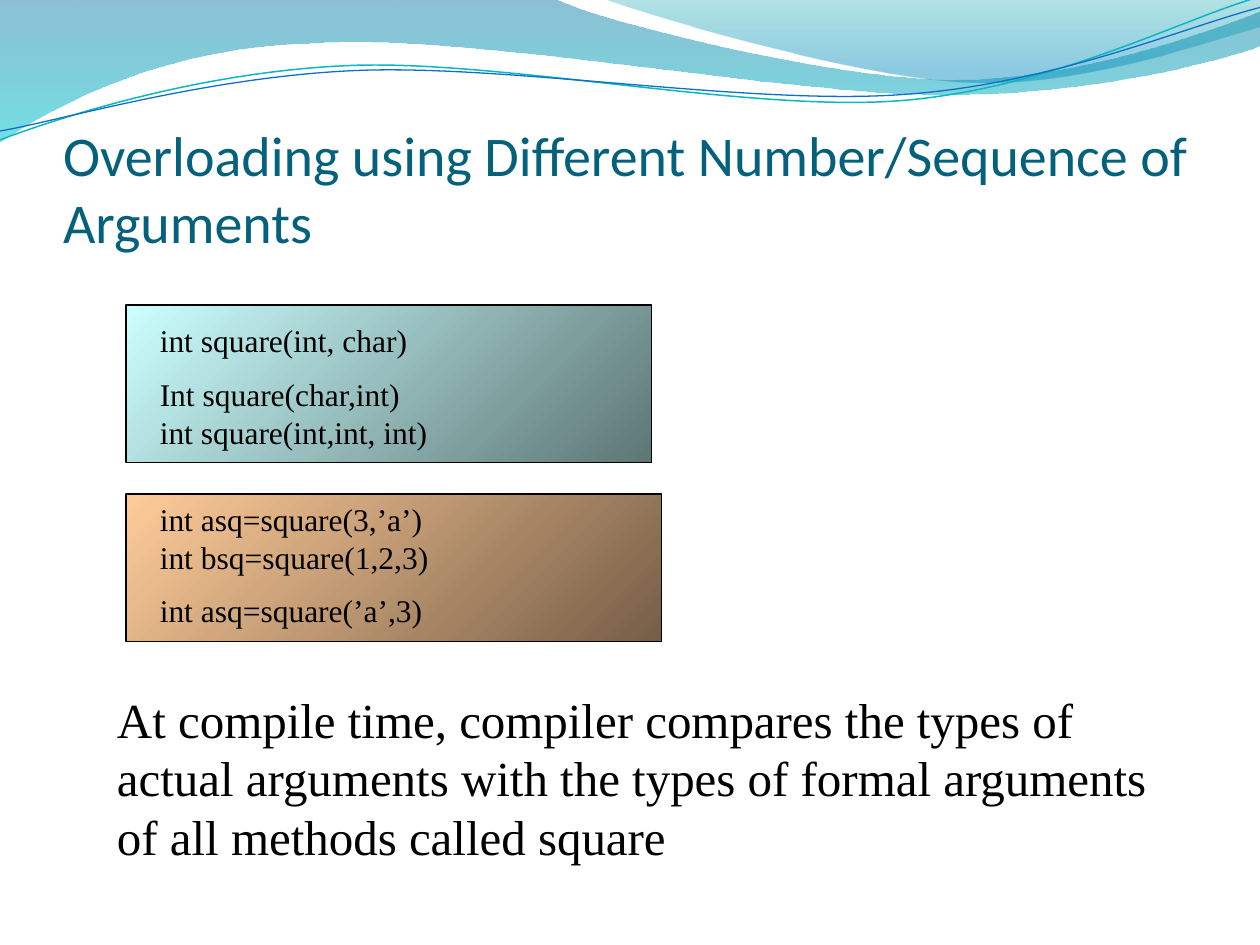
from dataclasses import dataclass
from math import cos, radians, sin

from lxml import etree
from pptx import Presentation
from pptx.dml.color import RGBColor
from pptx.enum.shapes import MSO_SHAPE
from pptx.enum.text import MSO_ANCHOR
from pptx.oxml.ns import qn
from pptx.util import Inches, Pt

RECT = MSO_SHAPE.RECTANGLE
TOP, BOTTOM = MSO_ANCHOR.TOP, MSO_ANCHOR.BOTTOM

BLACK = RGBColor(0x00, 0x00, 0x00)
TITLE_BLUE = RGBColor(0x04, 0x61, 0x7B)
DEEP_BLUE = RGBColor(0x00, 0x74, 0xA1)
CYAN = RGBColor(0x00, 0xC6, 0xCF)
TEAL = RGBColor(0x00, 0xA1, 0xA9)
SKY_BLUE = RGBColor(0x00, 0x8B, 0xBF)
LINE_TEAL = RGBColor(0x0A, 0xB8, 0xBF)
LINE_BLUE = RGBColor(0x0F, 0x6F, 0xC6)
PALE_AQUA = RGBColor(0xCC, 0xFF, 0xFF)
DARK_AQUA = RGBColor(0x5E, 0x76, 0x76)
PEACH = RGBColor(0xFF, 0xCC, 0x99)
BROWN = RGBColor(0x76, 0x5E, 0x47)

LINE_TILT = -2.7


@dataclass
class Stop:
    color: RGBColor
    position: float
    opacity: int = 100


@dataclass
class Band:
    """Steps hold one point for a line, three for a cubic curve."""
    start: tuple
    steps: list
    stops: tuple


@dataclass
class WaveLine:
    """Points are given as they lie on the slide, after the tilt."""
    start: tuple
    steps: list
    center: tuple
    color: RGBColor
    weight: float


@dataclass
class Panel:
    box: tuple
    stops: tuple


@dataclass
class Text:
    box: tuple
    paragraphs: list
    size: int
    font: str = "Times New Roman"
    color: RGBColor = BLACK
    anchor: MSO_ANCHOR = TOP
    insets: tuple = (0.1, 0.05, 0.1, 0.05)


BANDS = [
    Band((0, 0), [
        [(4.4, -0.01)],
        [(4.76, 0.17), (6.64, 0.63), (7.58, 0.63)],
        [(8.53, 0.63), (9.58, 0.26), (10, 0.09)],
        [(10.01, 0.36)],
        [(9.83, 0.44), (8.7, 0.76), (7.46, 0.75)],
        [(6.22, 0.75), (3.82, 0.28), (2.57, 0.34)],
        [(1.29, 0.36), (0.46, 0.83), (-0.01, 1.13)],
        [(0, 0)],
    ], (Stop(DEEP_BLUE, 0, 45), Stop(CYAN, 1, 55))),
    Band((4.79, -0.01), [
        [(5.09, 0.11), (6.82, 0.62), (7.69, 0.65)],
        [(8.56, 0.69), (9.61, 0.32), (10, 0.21)],
        [(10, 0)],
        [(4.79, -0.01)],
    ], (Stop(TEAL, 0, 30), Stop(SKY_BLUE, 0.8, 45))),
]

WAVE_LINES = [
    WaveLine((0, 1.11), [
        [(0.48, 0.93), (1.58, 0.57), (2.77, 0.52)],
        [(3.95, 0.47), (5.93, 0.89), (7.13, 0.8)],
        [(8.33, 0.71), (9.38, 0.15), (9.98, -0.02)],
    ], (4.99, 0.58), LINE_TEAL, 0.85),
    WaveLine((0, 1.04), [
        [(0.47, 0.96), (1.64, 0.61), (2.83, 0.56)],
        [(4.03, 0.51), (5.97, 0.84), (7.17, 0.75)],
        [(8.36, 0.67), (9.41, 0.21), (10, 0.06)],
    ], (5, 0.59), LINE_BLUE, 0.75),
]

PANELS = [
    Panel((1, 2.42, 4.17, 1.25), (Stop(PALE_AQUA, 0), Stop(DARK_AQUA, 1))),
    Panel((1, 3.92, 4.25, 1.17), (Stop(PEACH, 0), Stop(BROWN, 1))),
]

TEXTS = [
    Text((0.5, 0.77, 9.08, 1.25),
         ["Overloading using Different Number/Sequence of Arguments"],
         32, "Calibri", TITLE_BLUE, BOTTOM, (0, 0.05, 0, 0)),
    Text((1.17, 2.5, 3.83, 1.16),
         ["int square(int, char)",
          "Int square(char,int)\nint square(int,int, int)"], 18),
    Text((1.17, 3.92, 4.5, 1.16),
         ["int asq=square(3,’a’)\nint bsq=square(1,2,3)",
          "int asq=square(’a’,3)"], 18),
    Text((0.83, 5.42, 8.58, 1.5),
         ["At compile time, compiler compares the types of actual arguments "
          "with the types of formal arguments of all methods called square"],
         28),
]


def emu(point: tuple) -> tuple:
    return tuple(Inches(v) for v in point)


def rotate(point: tuple, center: tuple, degrees: float) -> tuple:
    a = radians(degrees)
    dx, dy = point[0] - center[0], point[1] - center[1]
    return (center[0] + dx * cos(a) - dy * sin(a),
            center[1] + dx * sin(a) + dy * cos(a))


def add_outline(shapes, start: tuple, steps: list, close: bool):
    """Build a freeform, then join each three-point step into one curve."""
    builder = shapes.build_freeform(*emu(start))
    builder.add_line_segments([emu(p) for step in steps for p in step],
                              close=close)
    sp = builder.convert_to_shape()
    sp.shadow.inherit = False
    segments = iter(list(sp._element.spPr.iter(qn("a:lnTo"))))
    for step in steps:
        parts = [next(segments) for _ in step]
        if len(parts) == 3:
            curve = etree.Element(qn("a:cubicBezTo"))
            parts[0].addprevious(curve)
            for part in parts:
                curve.append(part[0])
                part.getparent().remove(part)
    return sp


def set_gradient(sp, stops: tuple, angle: int) -> None:
    sp.fill.gradient()
    sp.fill.gradient_angle = 360 - angle
    for target, stop in zip(sp.fill.gradient_stops, stops):
        target.color.rgb = stop.color
        target.position = stop.position
    colors = sp._element.spPr.iter(qn("a:srgbClr"))
    for clr, stop in zip(colors, stops):
        if stop.opacity < 100:
            etree.SubElement(clr, qn("a:alpha"), val=str(stop.opacity * 1000))


def draw_band(s, band: Band) -> None:
    sp = add_outline(s.shapes, band.start, band.steps, True)
    set_gradient(sp, band.stops, 90)
    sp.line.fill.background()


def draw_wave_line(group, wave: WaveLine) -> None:
    start = rotate(wave.start, wave.center, -LINE_TILT)
    steps = [[rotate(p, wave.center, -LINE_TILT) for p in step]
             for step in wave.steps]
    sp = add_outline(group.shapes, start, steps, False)
    sp.rotation = LINE_TILT
    sp.fill.background()
    sp.line.color.rgb = wave.color
    sp.line.width = Pt(wave.weight)


def draw_panel(s, panel: Panel) -> None:
    sp = s.shapes.add_shape(RECT, *emu(panel.box))
    sp.shadow.inherit = False
    set_gradient(sp, panel.stops, 45)
    sp.line.color.rgb = BLACK
    sp.line.width = Pt(0.75)


def draw_text(s, text: Text) -> None:
    tf = s.shapes.add_textbox(*emu(text.box)).text_frame
    tf.word_wrap = True
    tf.vertical_anchor = text.anchor
    (tf.margin_left, tf.margin_top,
     tf.margin_right, tf.margin_bottom) = emu(text.insets)
    for i, content in enumerate(text.paragraphs):
        p = tf.add_paragraph() if i else tf.paragraphs[0]
        p.text = content
        p.font.name = text.font
        p.font.size = Pt(text.size)
        p.font.color.rgb = text.color
        if i:
            p.space_before = Pt(text.size / 2)


prs = Presentation()
prs.slide_width, prs.slide_height = Inches(10), Inches(7.5)
s = prs.slides.add_slide(prs.slide_layouts[6])

# Wavy header
for band in BANDS:
    draw_band(s, band)
group = s.shapes.add_group_shape()
for wave in WAVE_LINES:
    draw_wave_line(group, wave)
# Code panels, then title, code and explanation
for panel in PANELS:
    draw_panel(s, panel)
for text in TEXTS:
    draw_text(s, text)

prs.save("out.pptx")
